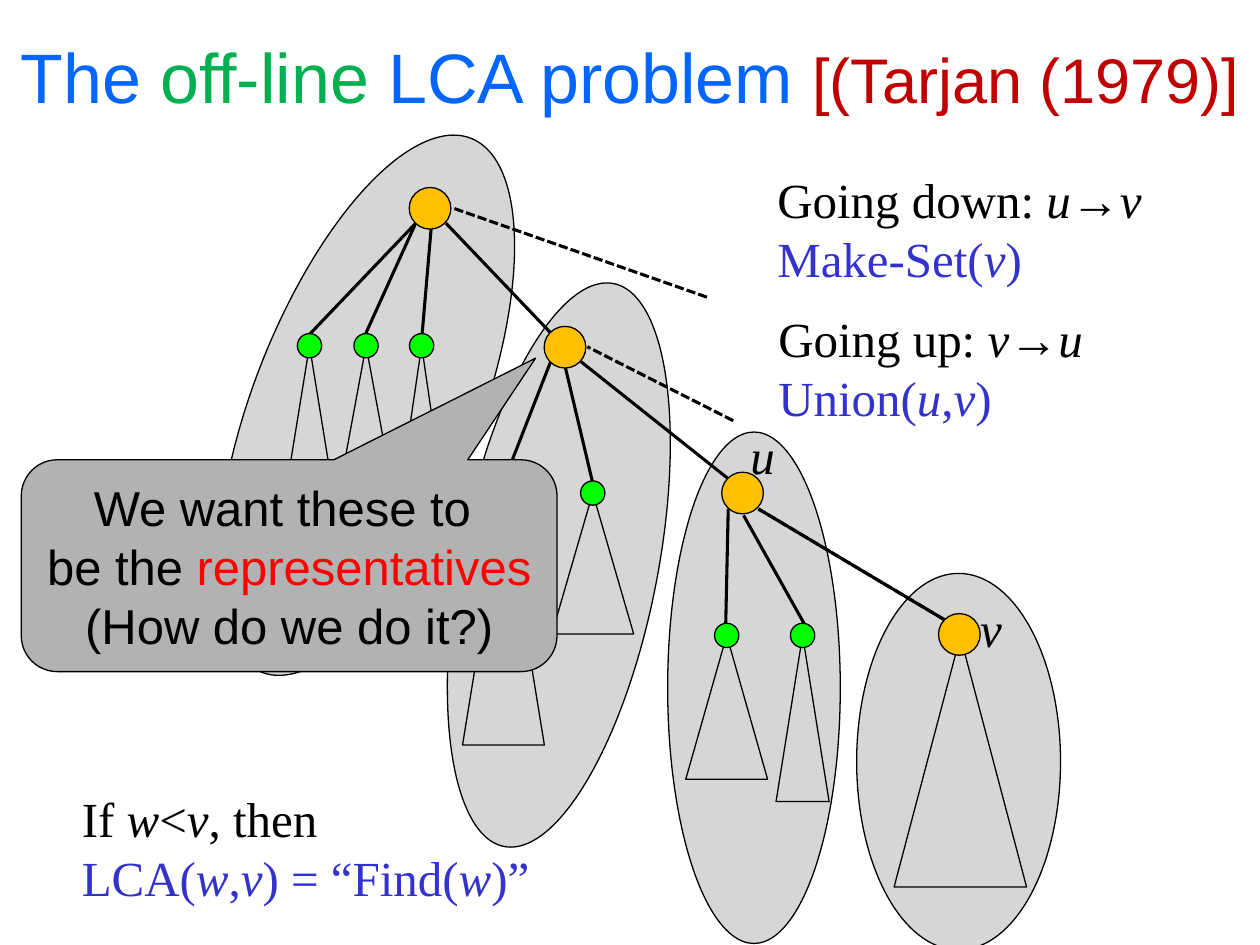
from lxml import etree
from pptx import Presentation
from pptx.dml.color import RGBColor
from pptx.enum.dml import MSO_LINE_DASH_STYLE as DASH
from pptx.enum.shapes import MSO_CONNECTOR, MSO_SHAPE as SHAPE
from pptx.enum.text import MSO_ANCHOR, PP_ALIGN
from pptx.oxml.ns import qn
from pptx.util import Cm, Pt

BLACK = RGBColor(0x00, 0x00, 0x00)
GREY = RGBColor(0x80, 0x80, 0x80)
CALLOUT_GREY = RGBColor(0xB2, 0xB2, 0xB2)
ORANGE = RGBColor(0xFF, 0xC0, 0x00)
LEAF_GREEN = RGBColor(0x00, 0xFF, 0x00)
TITLE_BLUE = RGBColor(0x00, 0x66, 0xFF)
TITLE_GREEN = RGBColor(0x00, 0xB0, 0x50)
DARK_RED = RGBColor(0xC0, 0x00, 0x00)
RED = RGBColor(0xFF, 0x00, 0x00)
CODE_BLUE = RGBColor(0x33, 0x33, 0xCC)
SERIF, SANS = "Times New Roman", "Arial"

prs = Presentation()
prs.slide_width, prs.slide_height = Cm(25.4), Cm(19.05)
s = prs.slides.add_slide(prs.slide_layouts[6])


def add_outlined(kind, x, y, w, h, fill=None):
    """Add a shape with a thin black outline; without a fill it is see-through."""
    sp = s.shapes.add_shape(kind, Cm(x), Cm(y), Cm(w), Cm(h))
    sp.shadow.inherit = False
    sp.line.color.rgb = BLACK
    sp.line.width = Pt(0.75)
    if fill is None:
        sp.fill.background()
    else:
        sp.fill.solid()
        sp.fill.fore_color.rgb = fill
    return sp


def write(tf, lines, font, size=28):
    """Fill one paragraph from lines of (text, colour); *stars* mark italics."""
    p = tf.paragraphs[0]
    for i, line in enumerate(lines):
        if i:
            p.add_line_break()
        for text, colour in line:
            for j, piece in enumerate(text.split("*")):
                if piece:
                    r = p.add_run()
                    r.text = piece
                    r.font.name, r.font.size = font, Pt(size)
                    r.font.italic = j % 2 == 1
                    r.font.color.rgb = colour
    return p


# Disjoint sets: left, top, width, height, rotation
for x, y, w, h, angle in [
    (17.27, 11.56, 4.11, 7.59, 0),
    (13.46, 8.71, 3.48, 10.31, 0),
    (9.27, 5.61, 3.99, 11.56, 11),
    (5.11, 2.39, 4.55, 11.56, 21.4),
]:
    sp = add_outlined(SHAPE.OVAL, x, y, w, h, GREY)
    sp.rotation = angle
    colour = sp.fill._xPr.find(qn("a:solidFill"))[0]
    etree.SubElement(colour, qn("a:alpha")).set("val", "32000")

# Title
tb = s.shapes.add_textbox(0, Cm(0.05), prs.slide_width, Cm(2.95))
tf = tb.text_frame
tf.word_wrap = True
tf.margin_left = tf.margin_right = 0
tf.vertical_anchor = MSO_ANCHOR.MIDDLE
p = write(tf, [[("The ", TITLE_BLUE), ("off-line", TITLE_GREEN),
                (" LCA problem ", TITLE_BLUE), ("[(Tarjan (1979)]", DARK_RED)]], SANS, 40)
p.alignment = PP_ALIGN.CENTER
p.runs[-1].font.size = Pt(36)

# Subtrees hang from their root: centre x, centre y, width, height
leaf_subtrees = [
    (6.24, 6.97, 1.65, 5.08), (7.38, 6.97, 0.91, 2.46), (8.5, 6.97, 0.86, 2.95),
    (10.15, 9.94, 1.65, 5.08), (11.95, 9.94, 1.65, 2.84),
    (14.65, 12.81, 1.65, 2.9), (16.18, 12.81, 1.07, 3.35),
]
for x, y, w, h in leaf_subtrees + [(19.36, 12.83, 2.67, 5.05)]:
    add_outlined(SHAPE.ISOSCELES_TRIANGLE, x - w / 2, y, w, h)

# Tree edges, then dashed ones
edges = [
    (6.25, 6.73, 8.38, 4.5), (7.37, 6.73, 8.38, 4.5), (8.51, 6.73, 8.69, 4.62),
    (11.1, 6.71, 8.99, 4.5), (14.68, 9.65, 11.71, 7.29), (19.05, 12.5, 15.29, 10.26),
    (10.16, 9.7, 11.1, 7.29), (11.94, 9.7, 11.4, 7.42),
    (16.21, 12.57, 14.99, 10.39), (14.63, 12.57, 14.68, 10.26),
]
dashed = [
    (14.25, 5.99, 9.12, 4.19), (14.78, 8.48, 11.84, 6.99), (19.05, 12.5, 15.29, 10.26),
]
for group, dash in [(edges, DASH.SOLID), (dashed, DASH.SQUARE_DOT)]:
    for ends in group:
        cxn = s.shapes.add_connector(MSO_CONNECTOR.STRAIGHT, *map(Cm, ends))
        cxn.line.color.rgb = BLACK
        cxn.line.width = Pt(1.75)
        cxn.line.dash_style = dash
        etree.SubElement(cxn._element.spPr, qn("a:effectLst"))

# Nodes
leaves = [(x, y) for x, y, _, _ in leaf_subtrees]
path_nodes = [(8.67, 4.2), (11.39, 7), (14.97, 9.94), (19.34, 12.79)]
for centres, d, fill in [(leaves, 0.49, LEAF_GREEN), (path_nodes, 0.84, ORANGE)]:
    for x, y in centres:
        add_outlined(SHAPE.OVAL, x - d / 2, y - d / 2, d, d, fill)

# Node labels and rules
for x, y, w, h, lines in [
    (19.51, 11.94, 1.37, 1.45, [[("*v*", BLACK)]]),
    (14.88, 8.46, 1.37, 1.45, [[("*u*", BLACK)]]),
    (15.42, 3.3, 9.07, 2.64,
     [[("Going down: *u*→*v*", BLACK)], [("Make-Set(*v*)", CODE_BLUE)]]),
    (15.44, 6.1, 9.07, 2.64,
     [[("Going up: *v*→*u*", BLACK)], [("Union(*u*,*v*)", CODE_BLUE)]]),
    (1.4, 15.77, 9.75, 2.64,
     [[("If *w*<*v*, then", BLACK)], [("LCA(*w*,*v*) = “Find(*w*)”", CODE_BLUE)]]),
]:
    tb = s.shapes.add_textbox(Cm(x), Cm(y), Cm(w), Cm(h))
    tb.text_frame.word_wrap = True
    write(tb.text_frame, lines, SERIF)

# Callout
callout = add_outlined(SHAPE.ROUNDED_RECTANGULAR_CALLOUT, 0.43, 9.27, 10.8, 4.27, CALLOUT_GREY)
for i, value in enumerate([0.46, -0.98, 0.17]):
    callout.adjustments[i] = value
tf = callout.text_frame
tf.word_wrap = False
tf.vertical_anchor = MSO_ANCHOR.MIDDLE
p = write(tf, [[("We want these to ", BLACK)],
               [("be the ", BLACK), ("representatives", RED)],
               [("(How do we do it?)", BLACK)]], SANS)
p.alignment = PP_ALIGN.CENTER

prs.save("out.pptx")
